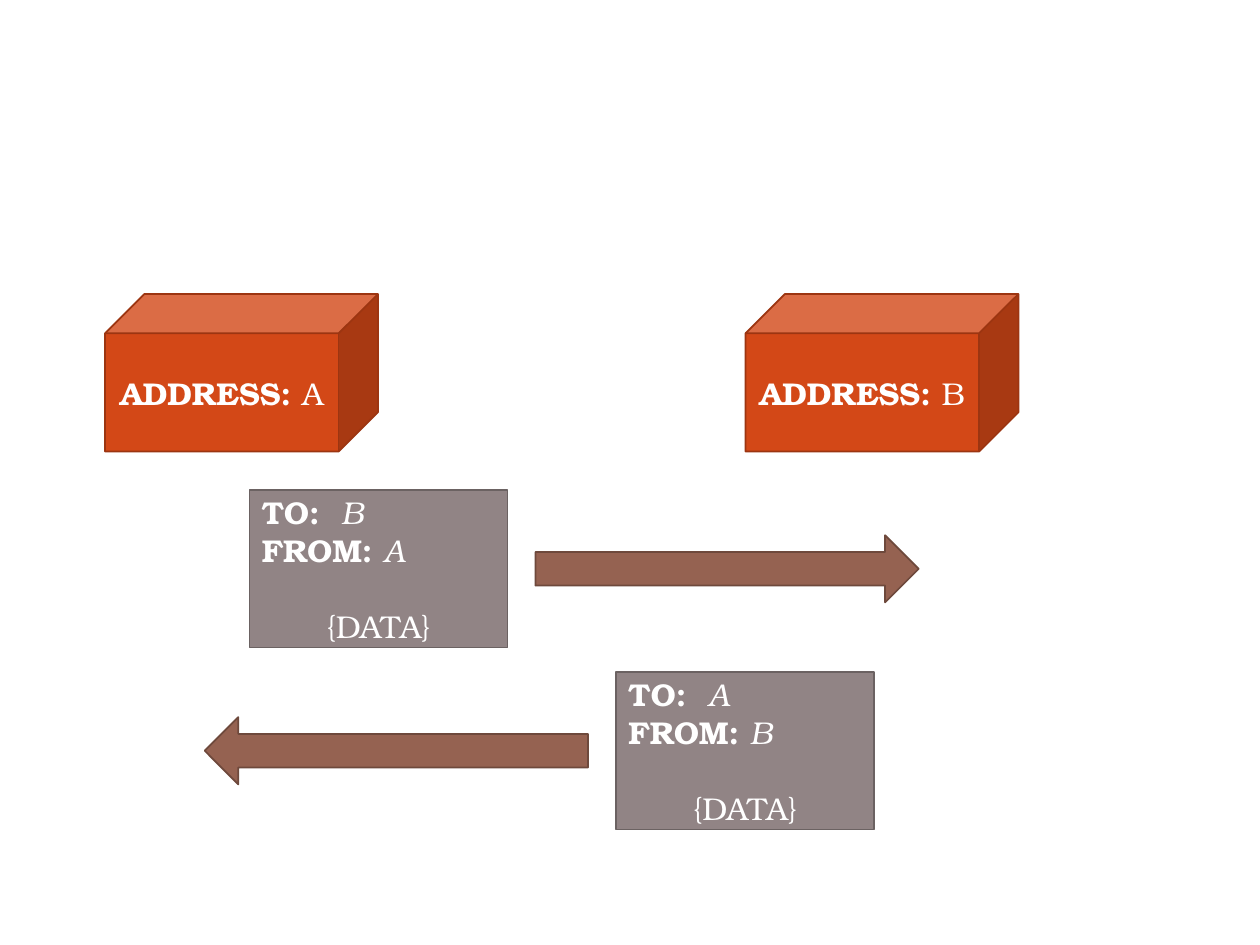
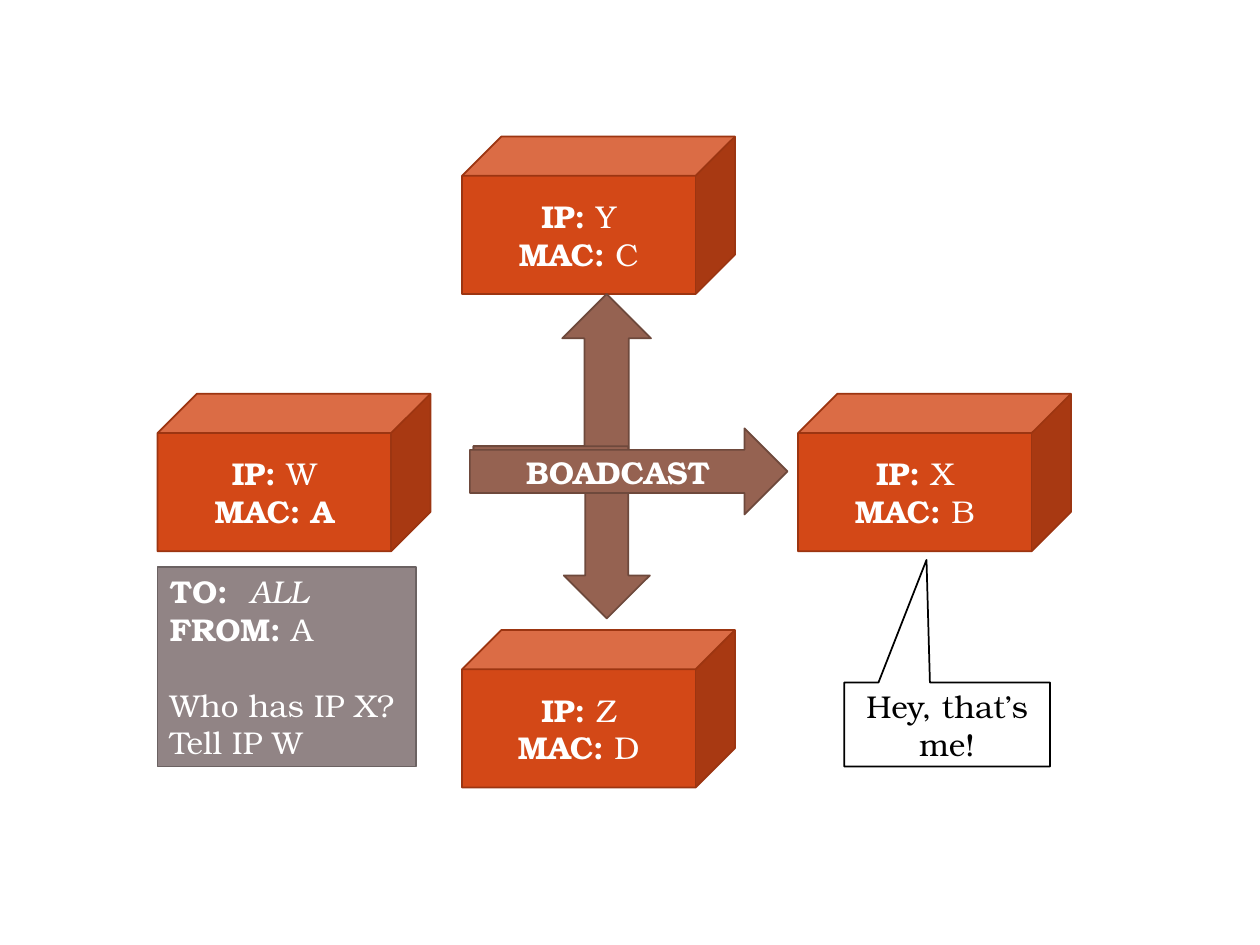
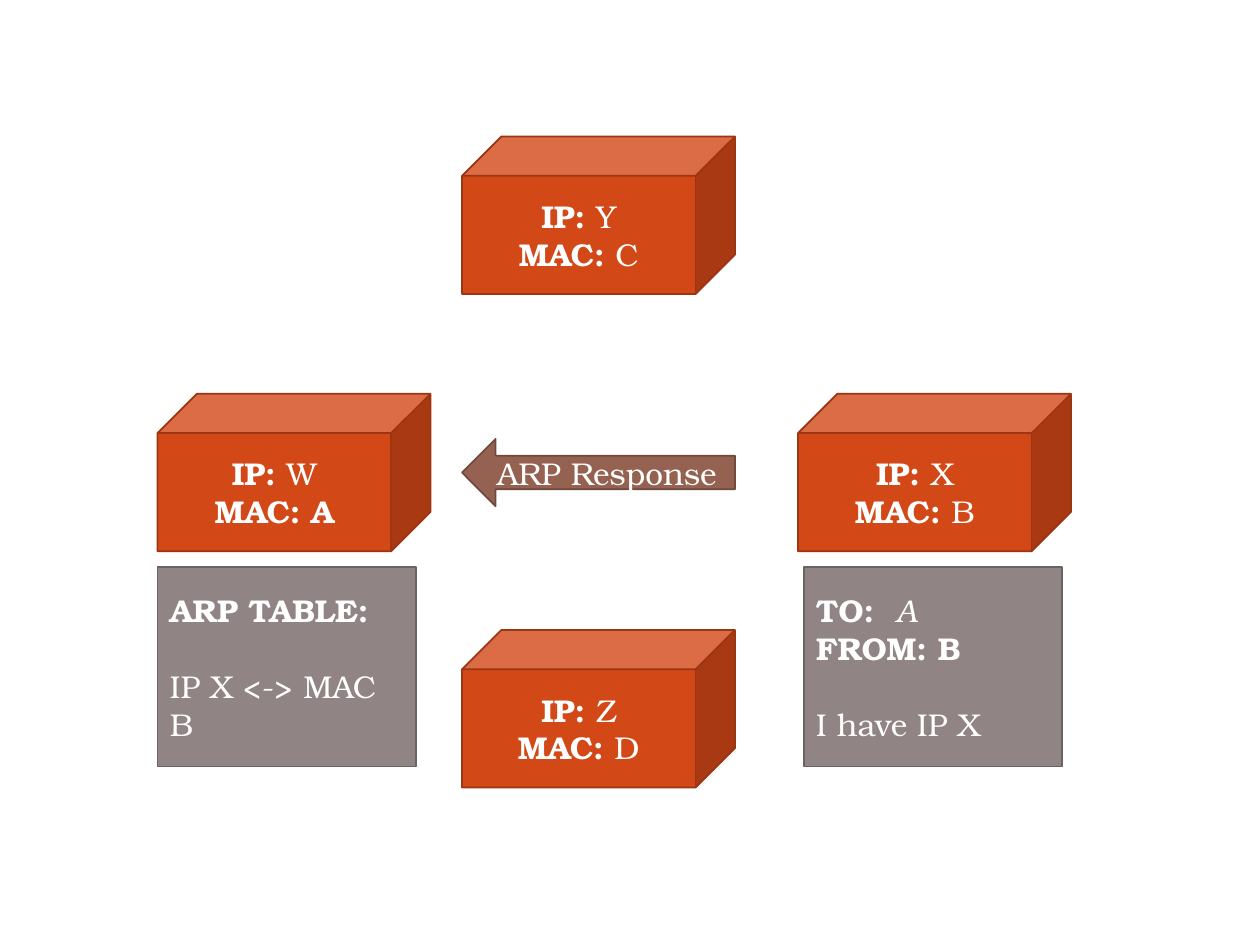
from dataclasses import dataclass
from typing import NamedTuple

from lxml import etree
from pptx import Presentation
from pptx.dml.color import RGBColor
from pptx.enum.shapes import MSO_SHAPE
from pptx.enum.text import PP_ALIGN
from pptx.oxml.ns import qn
from pptx.util import Inches, Pt

CUBE, RECTANGLE = MSO_SHAPE.CUBE, MSO_SHAPE.RECTANGLE
RIGHT_ARROW, LEFT_ARROW = MSO_SHAPE.RIGHT_ARROW, MSO_SHAPE.LEFT_ARROW
BENT_ARROW, CALLOUT = MSO_SHAPE.BENT_UP_ARROW, MSO_SHAPE.RECTANGULAR_CALLOUT
LEFT, CENTER = PP_ALIGN.LEFT, PP_ALIGN.CENTER


class Look(NamedTuple):
    fill: str
    outline: str
    text: str = "FFFFFF"
    align: PP_ALIGN = CENTER


@dataclass(frozen=True)
class Theme:
    font: str = "TeX Gyre Bonum"
    text_size: float = 18
    line_gap: float = 21.6
    outline_width: float = 1
    value_tab: float = 0.63
    host: Look = Look("D34817", "9C3511")
    packet: Look = Look("918485", "6B6262", align=LEFT)
    arrow: Look = Look("956251", "6E493C")
    speech: Look = Look("FFFFFF", "000000", "000000")


THEME = Theme()

# Grid of 120 columns by 90 rows
SLIDE_WIDTH, SLIDE_HEIGHT = Inches(10), Inches(7.5)
COLUMN, ROW = SLIDE_WIDTH / 120, SLIDE_HEIGHT / 90
HOST_SIZE = (26, 15)
PACKET_WIDTH = 24.6
MESSAGE_HEIGHT, NOTE_HEIGHT = 15, 19
ARROW_HEIGHT = 6.4
NOTE_ROW = 54


class Box(NamedTuple):
    column: float
    row: float
    columns: float
    rows: float


class Words(NamedTuple):
    text: str
    bold: bool = False
    italic: bool = False


@dataclass(frozen=True)
class Line:
    words: tuple[Words, ...]
    align: PP_ALIGN | None = None
    gap_before: bool = False
    tabbed: bool = False


@dataclass(frozen=True)
class Part:
    outline: MSO_SHAPE
    box: Box
    look: Look
    lines: tuple[Line, ...] = ()
    flipped: bool = False
    adjustments: tuple[float, ...] = ()


# Wording helpers
def field(label: str, value: str, bold: bool = False, italic: bool = False) -> Line:
    return Line((Words(f"{label}: ", True), Words(value, bold, italic)))


def recipient(value: str) -> Line:
    return Line((Words("TO:\t", True), Words(value, italic=True)), tabbed=True)


def body(text: str, align: PP_ALIGN | None = None) -> Line:
    return Line((Words(text),), align, gap_before=True)


# Part builders
def host(column: float, row: float, *lines: Line) -> Part:
    return Part(CUBE, Box(column, row, *HOST_SIZE), THEME.host, lines)


def packet(column: float, row: float, rows: float, *lines: Line) -> Part:
    return Part(RECTANGLE, Box(column, row, PACKET_WIDTH, rows), THEME.packet, lines)


def arrow(outline: MSO_SHAPE, box: Box, *lines: Line, flipped: bool = False) -> Part:
    return Part(outline, box, THEME.arrow, lines, flipped)


def message(column: float, row: float, to: str, sender: str,
            outline: MSO_SHAPE, arrow_column: float) -> list[Part]:
    """A packet with an arrow centred on its height."""
    arrow_row = row + (MESSAGE_HEIGHT - ARROW_HEIGHT) / 2
    return [
        packet(column, row, MESSAGE_HEIGHT, recipient(to),
               field("FROM", sender, italic=True), body("{DATA}", CENTER)),
        arrow(outline, Box(arrow_column, arrow_row, 36.5, ARROW_HEIGHT)),
    ]


# Slide contents
def addressing() -> list[Part]:
    return [
        host(10, 28, field("ADDRESS", "A")),
        host(71, 28, field("ADDRESS", "B")),
        *message(23.75, 46.67, "B", "A", RIGHT_ARROW, 51),
        *message(58.67, 64, "A", "B", LEFT_ARROW, 19.5),
    ]


def network() -> list[Part]:
    places = [(15, 37.5, "W", "A"), (76, 37.5, "X", "B"),
              (44, 60, "Z", "D"), (44, 13, "Y", "C")]
    return [host(column, row, field("IP", ip), field("MAC", mac, bold=mac == "A"))
            for column, row, ip, mac in places]


def broadcast() -> list[Part]:
    return network() + [
        arrow(BENT_ARROW, Box(45.1, 28, 16.9, 18.7)),
        arrow(BENT_ARROW, Box(45.1, 42.5, 16.8, 16.4), flipped=True),
        arrow(RIGHT_ARROW, Box(44.75, 40.8, 30.25, 8.2),
              Line((Words("BOADCAST", True),))),
        packet(15, NOTE_ROW, NOTE_HEIGHT, recipient("ALL"), field("FROM", "A"),
               body("Who has IP X? Tell IP W")),
        Part(CALLOUT, Box(80.4, 65, 19.6, 8), THEME.speech,
             (Line((Words("Hey, that’s me!"),)),), adjustments=(-0.1, -1.96)),
    ]


def response() -> list[Part]:
    return network() + [
        packet(15, NOTE_ROW, NOTE_HEIGHT, Line((Words("ARP TABLE:", True),)),
               body("IP X <-> MAC B")),
        packet(76.55, NOTE_ROW, NOTE_HEIGHT, recipient("A"),
               field("FROM", "B", bold=True), body("I have IP X")),
        arrow(LEFT_ARROW, Box(44, 41.8, 26, ARROW_HEIGHT),
              Line((Words("ARP Response"),))),
    ]


# Drawing
def write_line(paragraph, line: Line, look: Look) -> None:
    paragraph.alignment = line.align or look.align
    if line.gap_before:
        paragraph.space_before = Pt(THEME.line_gap)
    if line.tabbed:
        tabs = etree.SubElement(paragraph._p.get_or_add_pPr(), qn("a:tabLst"))
        etree.SubElement(tabs, qn("a:tab"), pos=str(Inches(THEME.value_tab)), algn="l")
    for words in line.words:
        run = paragraph.add_run()
        run.text = words.text
        font = run.font
        font.name, font.size = THEME.font, Pt(THEME.text_size)
        font.bold, font.italic = words.bold, words.italic
        font.color.rgb = RGBColor.from_string(look.text)


def draw(slide, part: Part) -> None:
    box, look = part.box, part.look
    shape = slide.shapes.add_shape(
        part.outline, round(box.column * COLUMN), round(box.row * ROW),
        round(box.columns * COLUMN), round(box.rows * ROW))
    shape.shadow.inherit = False
    shape.fill.solid()
    shape.fill.fore_color.rgb = RGBColor.from_string(look.fill)
    shape.line.color.rgb = RGBColor.from_string(look.outline)
    shape.line.width = Pt(THEME.outline_width)
    for index, value in enumerate(part.adjustments):
        shape.adjustments[index] = value
    if part.flipped:
        shape._element.spPr.find(qn("a:xfrm")).set("flipV", "1")
    frame = shape.text_frame
    frame.word_wrap = True
    for index, line in enumerate(part.lines):
        paragraph = frame.add_paragraph() if index else frame.paragraphs[0]
        write_line(paragraph, line, look)


def main() -> None:
    deck = Presentation()
    deck.slide_width, deck.slide_height = SLIDE_WIDTH, SLIDE_HEIGHT
    blank = deck.slide_layouts[6]
    for parts in (addressing(), broadcast(), response()):
        slide = deck.slides.add_slide(blank)
        for part in parts:
            draw(slide, part)
    deck.save("out.pptx")


if __name__ == "__main__":
    main()
